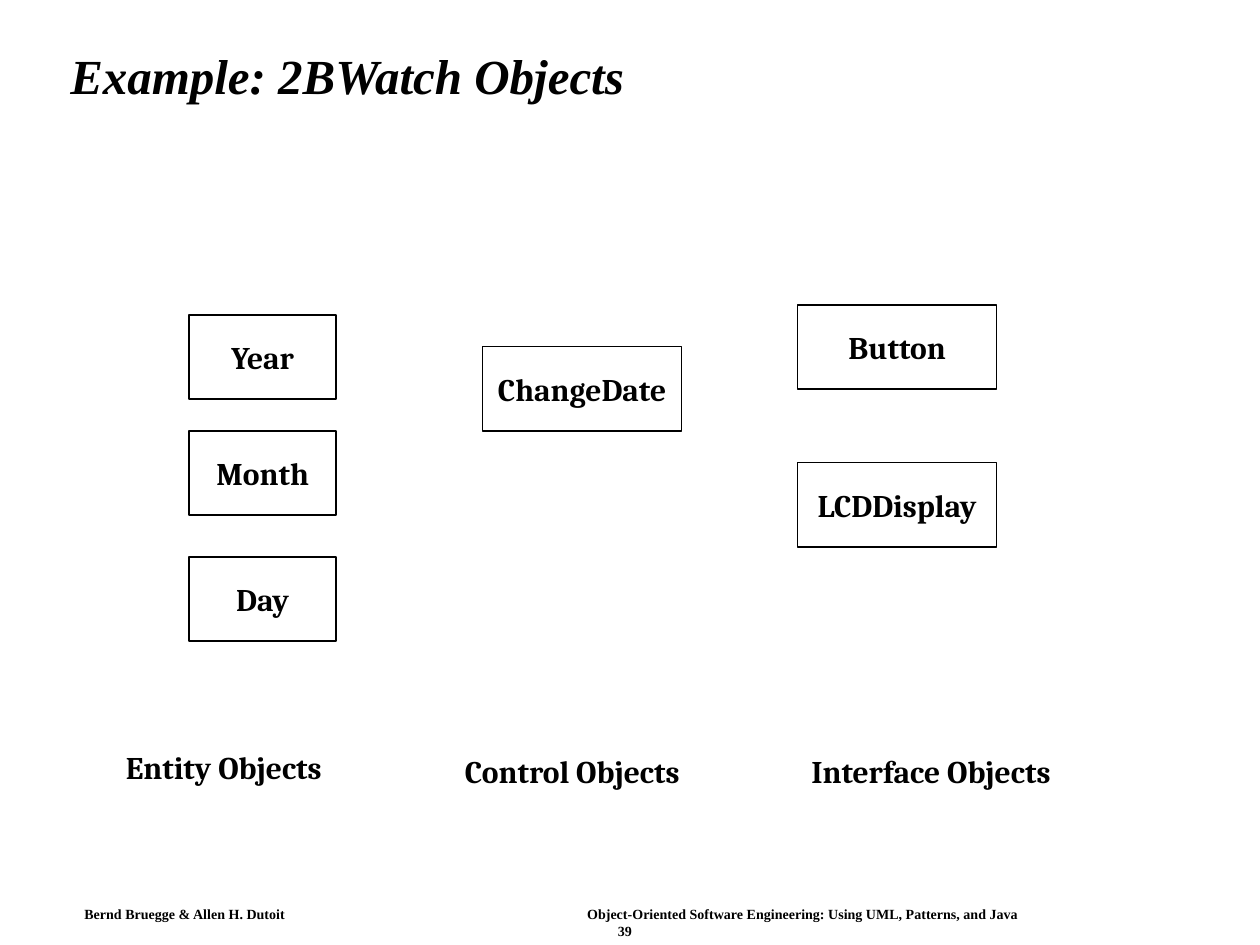
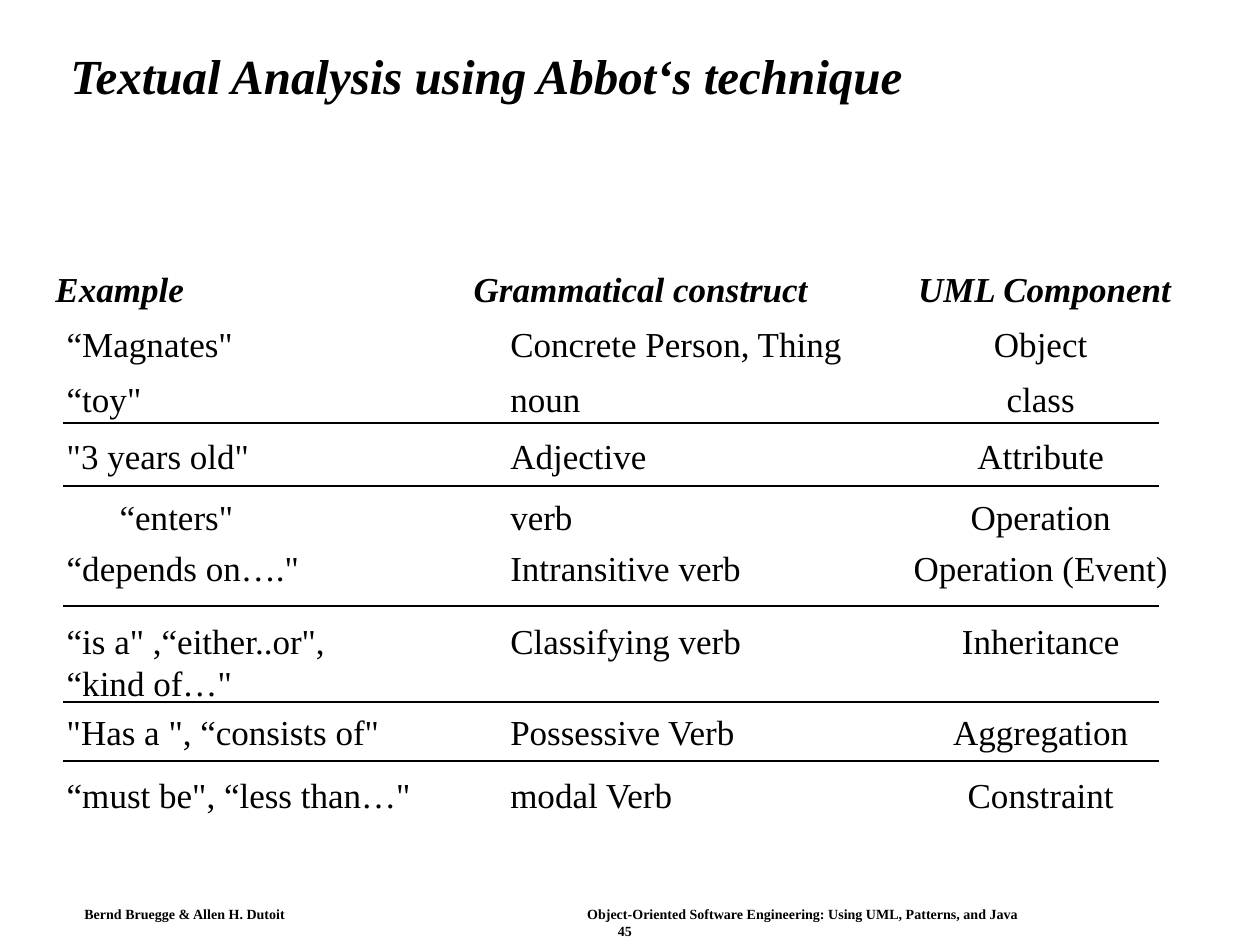
import pptx
import pptx.dml.color
import pptx.enum.shapes
import pptx.enum.text
import pptx.util
from lxml import etree
from pptx.oxml.ns import qn
from pptx.util import Inches

BLACK = "000000"
WHITE = "FFFFFF"
SERIF = "Times New Roman"
CLASS_FONT = "Cambria"
LEFT = pptx.enum.text.PP_ALIGN.LEFT
CENTER = pptx.enum.text.PP_ALIGN.CENTER
TOP = pptx.enum.text.MSO_ANCHOR.TOP
MIDDLE = pptx.enum.text.MSO_ANCHOR.MIDDLE

AUTHORS = "Bernd Bruegge & Allen H. Dutoit"
BOOK = "Object-Oriented Software Engineering: Using UML, Patterns, and Java"


def color(hex_value):
    return pptx.dml.color.RGBColor.from_string(hex_value)


def set_text(shape, text, size, font=SERIF, bold=False, italic=False,
             align=LEFT, anchor=TOP, inset=(0.1, 0.05), wrap=True):
    frame = shape.text_frame
    frame.text = text
    frame.word_wrap = wrap
    frame.vertical_anchor = anchor
    frame.margin_left = frame.margin_right = Inches(inset[0])
    frame.margin_top = frame.margin_bottom = Inches(inset[1])
    for para in frame.paragraphs:
        para.alignment = align
        for span in para.runs:
            span.font.name = font
            span.font.size = pptx.util.Pt(size)
            span.font.bold = bold
            span.font.italic = italic
            span.font.color.rgb = color(BLACK)
    return frame


def add_text(page, left, top, width, height, text, size, **style):
    box = page.shapes.add_textbox(Inches(left), Inches(top),
                                  Inches(width), Inches(height))
    return set_text(box, text, size, **style)


def add_tab_stop(para, position):
    tabs = etree.SubElement(para._p.get_or_add_pPr(), qn("a:tabLst"))
    etree.SubElement(tabs, qn("a:tab"), pos=str(Inches(position)), algn="l")


def add_page(deck, title, number):
    page = deck.slides.add_slide(deck.slide_layouts[6])
    # Footer: authors and book on one line, page number centred below
    footer = add_text(page, 0.59, 7.15, 8.74, 0.34,
                      f"{AUTHORS}\t{BOOK}\n{number}", 8,
                      bold=True, inset=(0.08, 0.04))
    add_tab_stop(footer.paragraphs[0], 3.99)
    footer.paragraphs[1].alignment = CENTER
    # Title
    heading = add_text(page, 0.46, 0.24, 8.92, 0.77, title, 28,
                       bold=True, italic=True, anchor=MIDDLE)
    heading.paragraphs[0].line_spacing = 0.9
    return page


def add_class_box(page, left, top, width, name):
    box = page.shapes.add_shape(pptx.enum.shapes.MSO_SHAPE.RECTANGLE,
                                Inches(left), Inches(top),
                                Inches(width), Inches(0.67))
    box.shadow.inherit = False
    box.fill.solid()
    box.fill.fore_color.rgb = color(WHITE)
    box.line.color.rgb = color(BLACK)
    box.line.width = pptx.util.Pt(1)
    set_text(box, name, 18, font=CLASS_FONT, bold=True,
             align=CENTER, anchor=MIDDLE, wrap=False)


def add_rule(page, top, left=0.5, right=9.2):
    rule = page.shapes.add_connector(pptx.enum.shapes.MSO_CONNECTOR.STRAIGHT,
                                     Inches(left), Inches(top),
                                     Inches(right), Inches(top))
    rule.line.color.rgb = color(BLACK)
    rule.line.width = pptx.util.Pt(1)
    etree.SubElement(rule._element.spPr, qn("a:effectLst"))


def add_cell(page, left, top, width, text, **style):
    height = 0.33 * (text.count("\n") + 1)
    add_text(page, left, top, width, height, text, 20, inset=(0, 0), **style)


def build_objects_page(deck):
    page = add_page(deck, "Example: 2BWatch Objects", 39)
    # Class boxes: left, width, then the top of each class in the group
    groups = [
        (1.5, 1.17, {"Year": 2.5, "Month": 3.42, "Day": 4.42}),
        (3.83, 1.58, {"ChangeDate": 2.75}),
        (6.33, 1.58, {"Button": 2.42, "LCDDisplay": 3.67}),
    ]
    for left, width, classes in groups:
        for name, top in classes.items():
            add_class_box(page, left, top, width, name)
    # Group captions
    captions = [
        (0.9, 5.89, 1.83, "Entity Objects"),
        (3.59, 5.92, 2.01, "Control Objects"),
        (6.34, 5.92, 2.15, "Interface Objects"),
    ]
    for left, top, width, caption in captions:
        add_text(page, left, top, width, 0.4, caption, 18,
                 font=CLASS_FONT, bold=True, wrap=False)


def build_analysis_page(deck):
    page = add_page(deck, "Textual Analysis using Abbot‘s technique", 45)
    # Column headings, in boxes with room to spare for a single line
    heading = {"bold": True, "italic": True}
    add_cell(page, 0.44, 2.12, 1.5, "Example", **heading)
    add_cell(page, 3.76, 2.12, 3, "Grammatical construct", **heading)
    add_cell(page, 7.19, 2.12, 2.2, "UML Component", align=CENTER, **heading)
    # Rows: top, example, construct, component
    rows = [
        (2.56, "“Magnates\"", "Concrete Person, Thing", "Object"),
        (3, "“toy\"", "noun", "class"),
        (3.45, "\"3 years old\"", "Adjective", "Attribute"),
        (3.93, "“enters\"", "verb", "Operation"),
        (4.34, "“depends on….\"", "Intransitive verb", "Operation (Event)"),
        (4.92, "“is a\" ,“either..or\",\n“kind of…\"", "Classifying verb",
         "Inheritance"),
        (5.64, "\"Has a \", “consists of\"", "Possessive Verb", "Aggregation"),
        (6.14, "“must be\", “less than…\"", "modal Verb", "Constraint"),
    ]
    for top, example, construct, component in rows:
        example_left = 0.95 if construct == "verb" else 0.53
        add_cell(page, example_left, top, 3, example)
        add_cell(page, 4.05, top, 3, construct)
        add_cell(page, 7.16, top, 2.2, component, align=CENTER)
    # Row separators
    for top in (3.36, 3.86, 4.81, 5.57, 6.04):
        add_rule(page, top)


def main():
    deck = pptx.Presentation()
    deck.slide_width = Inches(10)
    deck.slide_height = Inches(7.5)
    build_objects_page(deck)
    build_analysis_page(deck)
    deck.save("out.pptx")


if __name__ == "__main__":
    main()
